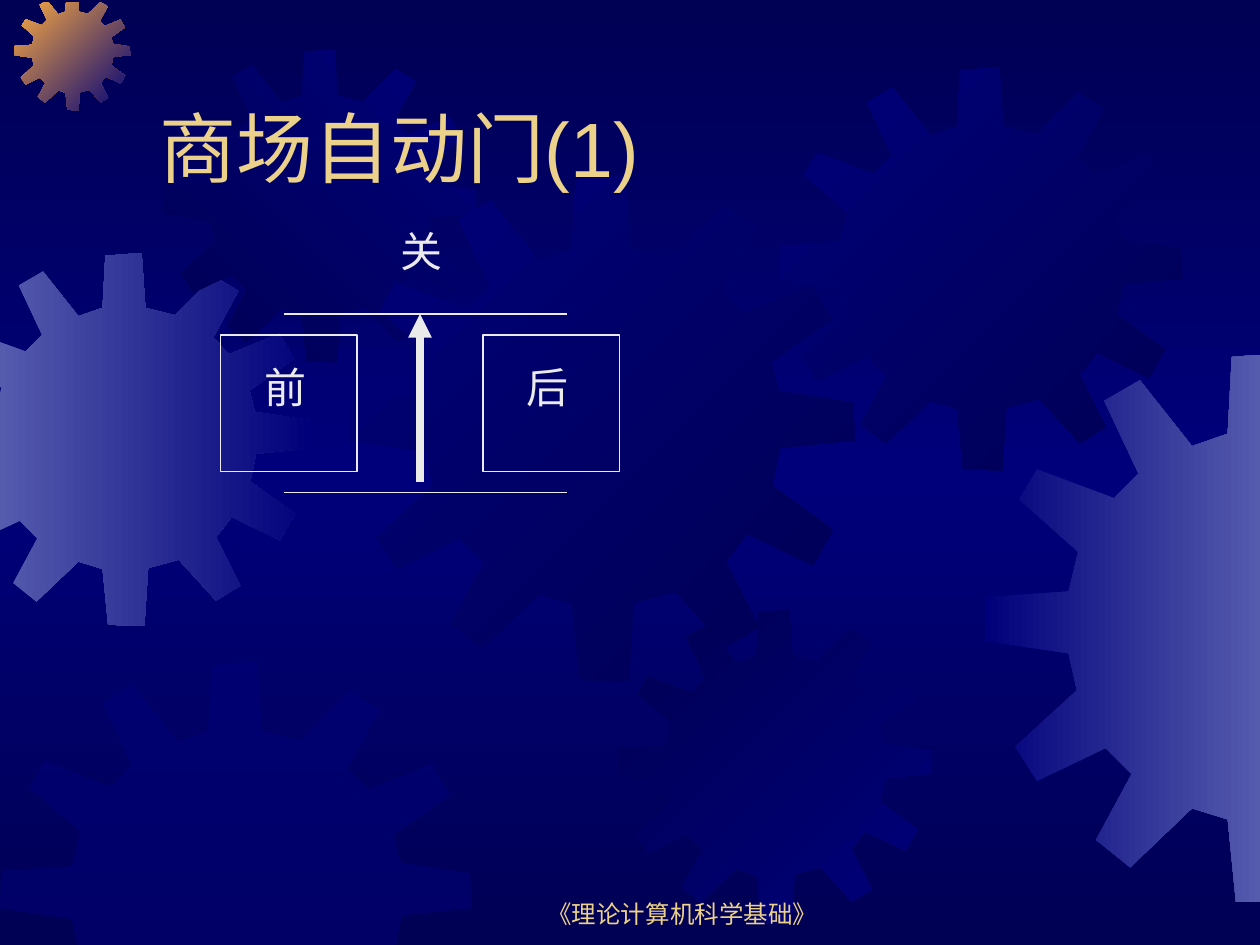
"""Build the automatic shop door slide on a backdrop of gears."""
from copy import deepcopy
from dataclasses import dataclass

from lxml import etree
from pptx import Presentation
from pptx import util as u
from pptx.dml.color import RGBColor
from pptx.enum import shapes, text
from pptx.oxml.ns import qn
from pptx.slide import Slide

NAVY = RGBColor(0x00, 0x00, 0x54)
BLUE = RGBColor(0x00, 0x00, 0x7A)
STEEL = RGBColor(0x55, 0x5B, 0xAD)
ORANGE = RGBColor(0xFC, 0xAB, 0x40)
GOLD = RGBColor(0xEB, 0xD1, 0x89)
PALE = RGBColor(0xEA, 0xEA, 0xEA)

COLUMNS, ROWS = 120, 90
CLIP_EDGES = ((0, -0.1, 1), (0, COLUMNS + 0.1, -1), (1, 0.2, 1), (1, ROWS + 0.5, -1))
GEAR_SPAN = 401
GEAR_OUTLINE = [
    (255, 67), (223, 59), (219, 0), (180, 3), (177, 59), (151, 68), (113, 20), (87, 35),
    (112, 88), (94, 106), (38, 85), (25, 107), (68, 145), (61, 174), (1, 178), (0, 210),
    (61, 219), (67, 246), (22, 287), (38, 312), (88, 288), (107, 307), (81, 355), (106, 375),
    (151, 332), (177, 340), (183, 400), (222, 401), (226, 339), (259, 330), (299, 374), (325, 358),
    (299, 306), (316, 284), (368, 309), (384, 281), (336, 246), (342, 216), (401, 210), (400, 180),
    (341, 171), (335, 148), (383, 114), (367, 87), (313, 109), (296, 91), (323, 41), (297, 25),
]
GEARS = [
    (-5.9, 24.1, 35.5, STEEL, BLUE, 0),
    (1.4, -0.5, 11, ORANGE, BLUE, 315),
    (15.6, 4.7, 29.8, NAVY, BLUE, 45),
    (33.2, 16.7, 48.2, BLUE, NAVY, 315),
    (0, 63, 44.9, BLUE, None, 0),
    (58.9, 58.1, 29.8, NAVY, BLUE, 315),
    (74.2, 6.4, 38.4, BLUE, NAVY, 315),
    (93.8, 33.6, 52.4, BLUE, STEEL, 0),
]


def clip(points, axis, limit, side):
    """Cut a polygon at one straight edge."""
    kept = []
    for start, end in zip(points[-1:] + points[:-1], points):
        before, after = ((point[axis] - limit) * side for point in (start, end))
        if (before < 0) != (after < 0):
            share = before / (before - after)
            kept.append(tuple(a + (b - a) * share for a, b in zip(start, end)))
        if after >= 0:
            kept.append(end)
    return kept


@dataclass
class Board:
    """Hold the style and the slide being drawn."""

    slide: Slide
    cell: int = u.Inches(10) // COLUMNS
    title_font: str = "Arial"
    label_font: str = "Arial Narrow"
    ink: RGBColor = PALE
    thin: float = 0.75

    def grid(self, *cells):
        """Turn grid cells into lengths."""
        return [u.Emu(round(value * self.cell)) for value in cells]

    def blend(self, fill, start, end, angle):
        """Fill with a gradient between two colours."""
        fill.gradient()
        fill.gradient_angle = angle
        for position, color in enumerate((start, end)):
            stop = fill.gradient_stops[position]
            stop.color.rgb = color
            stop.position = position

    def background(self, edge, middle):
        """Shade the slide from edge to middle and back."""
        fill = self.slide.background.fill
        self.blend(fill, edge, edge, 270)
        first = self.slide.element.find(".//" + qn("a:gs"))
        first.addnext(deepcopy(first))
        centre = fill.gradient_stops[1]
        centre.position = 0.5
        centre.color.rgb = middle

    def gear(self, left, top, size, start, end, angle):
        """Draw a gear trimmed to the slide."""
        scale = size / GEAR_SPAN
        points = [(left + x * scale, top + y * scale) for x, y in GEAR_OUTLINE]
        for edge in CLIP_EDGES:
            points = clip(points, *edge)
        corners = [self.grid(*point) for point in points]
        builder = self.slide.shapes.build_freeform(*corners[0])
        builder.add_line_segments(corners[1:], close=True)
        shape = builder.convert_to_shape()
        shape.shadow.inherit = False
        shape.line.fill.background()
        if end is not None:
            self.blend(shape.fill, start, end, angle)
            return
        shape.fill.solid()
        shape.fill.fore_color.rgb = start
        color = shape.element.spPr.find(".//" + qn("a:srgbClr"))
        etree.SubElement(color, qn("a:alpha"), val="50000")

    def pad(self, left, top, size):
        """Draw an outlined square."""
        shape = self.slide.shapes.add_shape(
            shapes.MSO_SHAPE.RECTANGLE, *self.grid(left, top, size, size))
        shape.shadow.inherit = False
        shape.fill.background()
        shape.line.color.rgb = self.ink
        shape.line.width = u.Pt(self.thin)

    def line(self, *ends, width=None, arrow=False):
        """Draw a straight line, with an arrowhead if asked."""
        connector = self.slide.shapes.add_connector(
            shapes.MSO_CONNECTOR.STRAIGHT, *self.grid(*ends))
        connector.line.color.rgb = self.ink
        connector.line.width = u.Pt(width or self.thin)
        properties = connector.element.spPr
        if arrow:
            etree.SubElement(properties.find(qn("a:ln")), qn("a:tailEnd"), type="triangle")
        etree.SubElement(properties, qn("a:effectLst"))

    def caption(self, words, box, size, font, color,
                anchor=text.MSO_ANCHOR.TOP, align=text.PP_ALIGN.LEFT):
        """Place one line of text."""
        frame = self.slide.shapes.add_textbox(*self.grid(*box)).text_frame
        frame.word_wrap = True
        frame.vertical_anchor = anchor
        frame.text = words
        paragraph = frame.paragraphs[0]
        paragraph.alignment = align
        run_font = paragraph.runs[0].font
        run_font.size = u.Pt(size)
        run_font.name = font
        run_font.color.rgb = color

    def label(self, words, left, top):
        """Place a door label."""
        self.caption(words, (left, top, 8, 6), 24, self.label_font, self.ink)


def main():
    """Draw the slide and save it."""
    presentation = Presentation()
    presentation.slide_width = u.Inches(10)
    presentation.slide_height = u.Inches(7.5)
    board = Board(presentation.slides.add_slide(presentation.slide_layouts[6]))

    board.background(NAVY, BLUE)
    for gear in GEARS:
        board.gear(*gear)

    bottom = text.MSO_ANCHOR.BOTTOM
    board.caption("《理论计算机科学基础》", (46, 83, 38, 6), 14, board.title_font, GOLD,
                  bottom, text.PP_ALIGN.CENTER)
    board.caption("商场自动门(1)", (14, 4, 102, 15), 44, board.title_font, GOLD, bottom)

    for words, left in (("前", 21), ("后", 46)):
        board.pad(left, 31.9, 13)
        board.label(words, left + 3, 33.8)
    board.label("关", 37, 20.9)
    board.line(40, 45.9, 40, 29.9, width=4.5, arrow=True)
    for row in (29.9, 46.9):
        board.line(27, row, 54, row)

    presentation.save("out.pptx")


if __name__ == "__main__":
    main()
